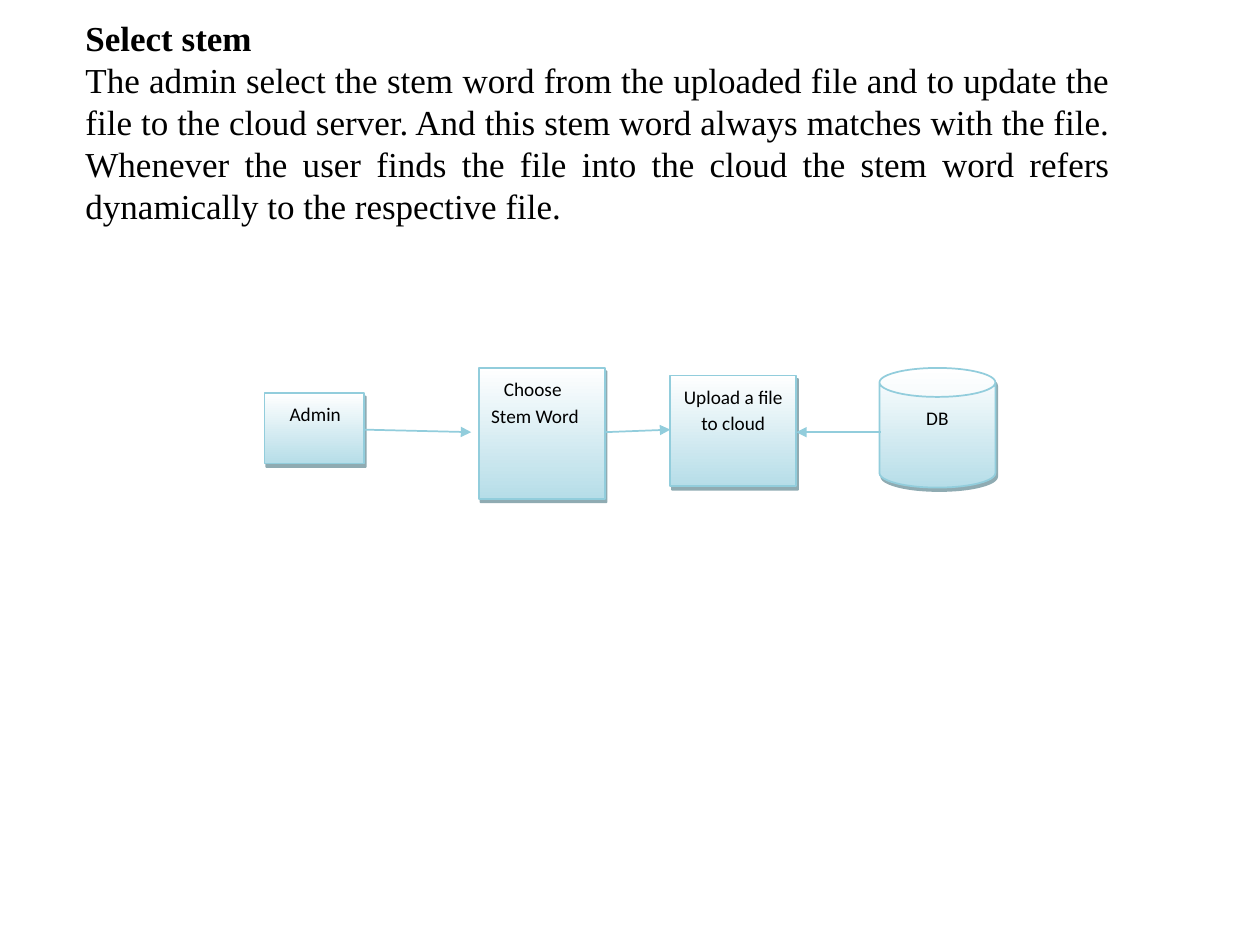
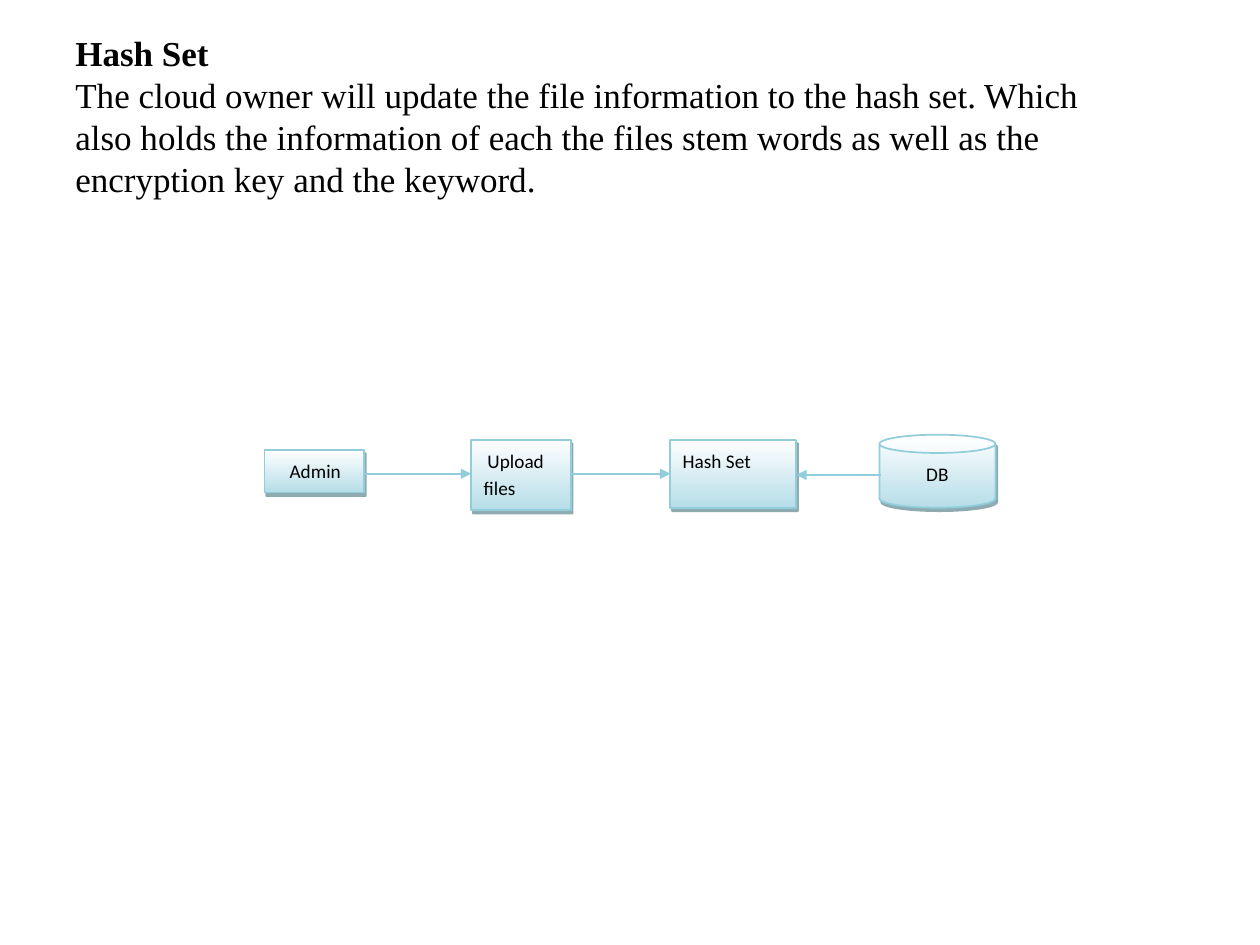
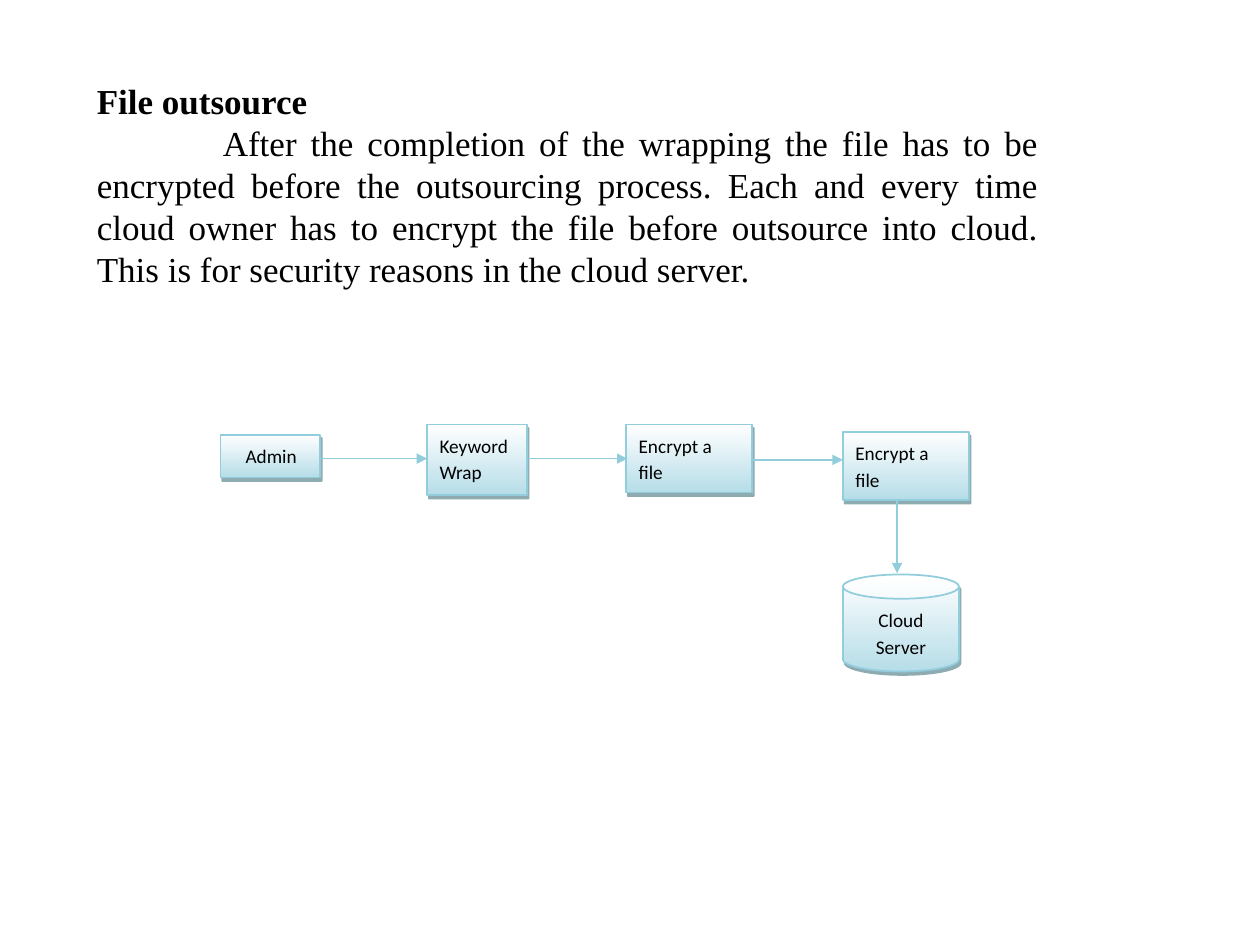
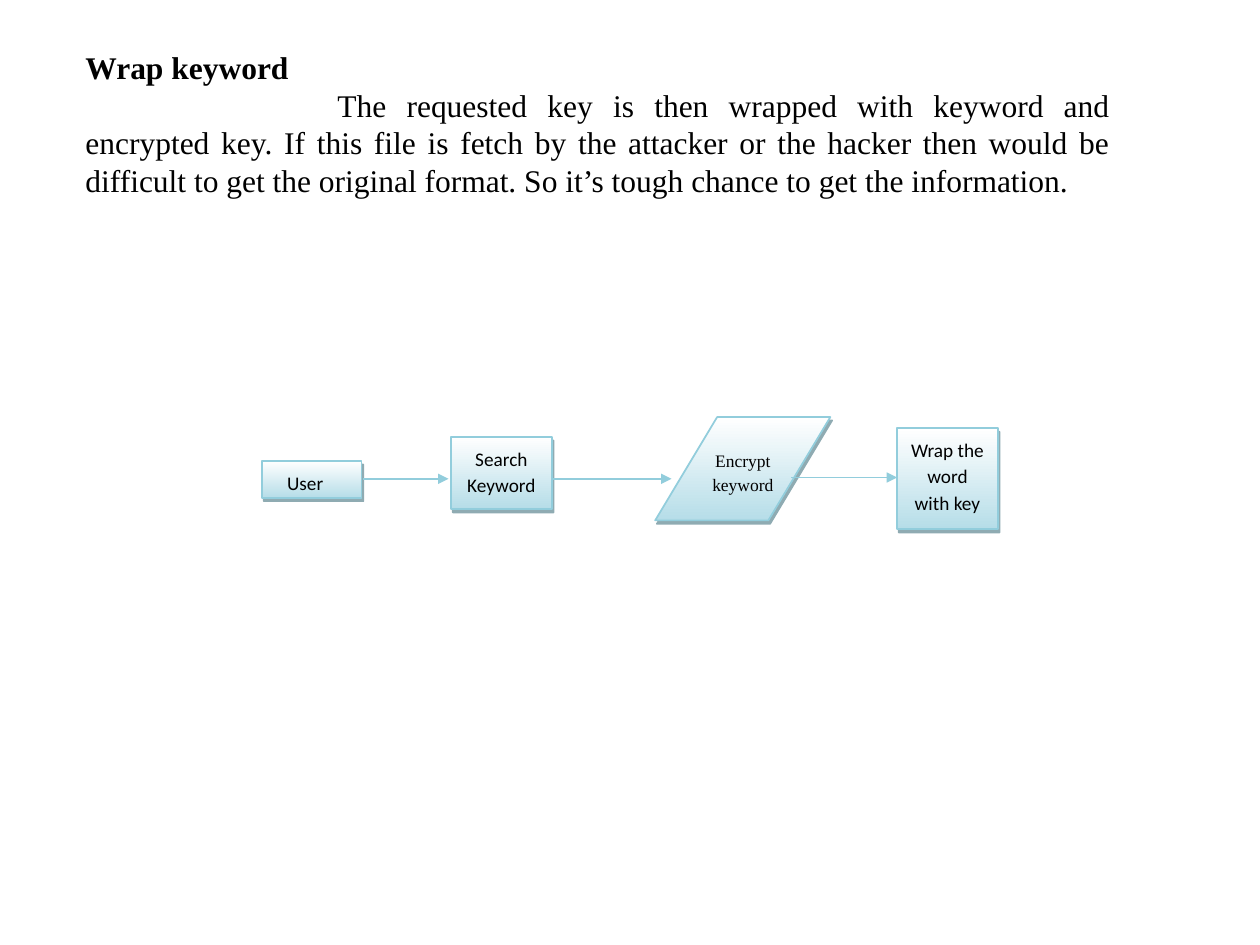
from dataclasses import dataclass
from lxml import etree
from pptx import Presentation
from pptx.dml.color import RGBColor
from pptx.enum.shapes import MSO_CONNECTOR, MSO_SHAPE
from pptx.enum.text import MSO_ANCHOR, PP_ALIGN
from pptx.oxml.ns import qn
from pptx.util import Inches, Pt

RECT, CAN, SLANT = MSO_SHAPE.RECTANGLE, MSO_SHAPE.CAN, MSO_SHAPE.PARALLELOGRAM
STRAIGHT = MSO_CONNECTOR.STRAIGHT
TOP = MSO_ANCHOR.TOP
LEFT, CENTER, JUSTIFY = PP_ALIGN.LEFT, PP_ALIGN.CENTER, PP_ALIGN.JUSTIFY


@dataclass
class Theme:
    ink: RGBColor = RGBColor.from_string("000000")
    pale: RGBColor = RGBColor.from_string("FFFFFF")
    tint: RGBColor = RGBColor.from_string("B6DDE8")
    edge: RGBColor = RGBColor.from_string("92CDDC")
    shadow: str = "205867"
    serif: str = "Times New Roman"
    sans: str = "Calibri"
    body: int = 20
    body_small: int = 18
    label: int = 11
    label_small: int = 10
    line: float = 1


T = Theme()


def style_paragraph(p, font, size, align, indent=0, bold=False):
    p.alignment = align
    if indent:
        p._p.get_or_add_pPr().set("indent", str(Inches(indent)))
    for r in p.runs:
        r.font.name = font
        r.font.size = Pt(size)
        r.font.bold = bold
        r.font.color.rgb = T.ink


SLIDES = [
    dict(
        title="Select stem",
        body="The admin select the stem word from the uploaded file and to update the "
             "file to the cloud server. And this stem word always matches with the file. "
             "Whenever the user finds the file into the cloud the stem word refers "
             "dynamically to the respective file.",
        at=(0.58, 0.05, 8.33, 2.46), inset=0.08, size=T.body, align=JUSTIFY, indent=0,
        nodes=[
            (RECT, 2.1, 3.12, 0.79, 0.56, "Admin", LEFT, 0.1),
            (RECT, 3.8, 2.92, 1, 1.04, "Choose Stem Word", LEFT, 0.1),
            (RECT, 5.32, 2.98, 1, 0.88, "Upload a file to cloud", CENTER, 0),
            (CAN, 6.98, 2.92, 0.92, 0.95, "DB", CENTER, 0),
        ],
        arrows=[(2.89, 3.41, 3.74, 3.43), (4.8, 3.43, 5.32, 3.41), (6.99, 3.43, 6.32, 3.43)],
    ),
    dict(
        title="Hash Set",
        body="The cloud owner will update the file information to the hash set. Which also "
             "holds the information of each the files stem words as well as the encryption "
             "key and the keyword.",
        at=(0.5, 0.17, 8.5, 3.13), inset=0.08, size=T.body, align=LEFT, indent=0,
        nodes=[
            (RECT, 2.1, 3.57, 0.79, 0.34, "Admin", LEFT, 0.1),
            (RECT, 3.74, 3.49, 0.79, 0.56, "Upload files", LEFT, 0.03),
            (RECT, 5.32, 3.49, 1, 0.54, "Hash Set", LEFT, 0),
            (CAN, 6.98, 3.45, 0.92, 0.58, "DB", CENTER, 0),
        ],
        arrows=[(2.89, 3.76, 3.74, 3.76), (4.53, 3.76, 5.32, 3.76), (6.99, 3.77, 6.32, 3.77)],
    ),
    dict(
        title="File outsource",
        body="After the completion of the wrapping the file has to be encrypted before the "
             "outsourcing process. Each and every time cloud owner has to encrypt the file "
             "before outsource into cloud. This is for security reasons in the cloud server.",
        at=(0.67, 0.58, 7.67, 2.12), inset=0.05, size=T.body, align=JUSTIFY, indent=1,
        nodes=[
            (RECT, 1.75, 3.45, 0.79, 0.34, "Admin", LEFT, 0.1),
            (RECT, 3.39, 3.37, 0.79, 0.56, "Keyword Wrap", LEFT, 0),
            (RECT, 4.97, 3.37, 1, 0.54, "Encrypt a file", LEFT, 0),
            (CAN, 6.69, 4.56, 0.92, 0.77, "Cloud Server", CENTER, 0),
            (RECT, 6.69, 3.43, 1, 0.54, "Encrypt a file", LEFT, 0),
        ],
        arrows=[(2.55, 3.64, 3.39, 3.64), (4.18, 3.64, 4.98, 3.64),
                (5.97, 3.65, 6.69, 3.65), (7.12, 3.97, 7.12, 4.55)],
    ),
    dict(
        title="Wrap keyword",
        body="The requested key is then wrapped with keyword and encrypted key. If this file "
             "is fetch by the attacker or the hacker then would be difficult to get the "
             "original format. So it’s tough chance to get the information.",
        at=(0.58, 0.33, 8.33, 1.31), inset=0.05, size=T.body_small, align=JUSTIFY, indent=2,
        nodes=[
            (RECT, 2.08, 3.66, 0.79, 0.29, "User", LEFT, 0.1),
            (RECT, 3.58, 3.47, 0.8, 0.57, "Search Keyword", CENTER, 0),
            (SLANT, 5.2, 3.31, 1.39, 0.82, "Encrypt keyword", CENTER, 0),
            (RECT, 7.12, 3.4, 0.8, 0.8, "Wrap the word with key", CENTER, 0),
        ],
        arrows=[(2.88, 3.8, 3.56, 3.8), (4.38, 3.8, 5.33, 3.8), (6.28, 3.79, 7.12, 3.79)],
    ),
]

prs = Presentation()
prs.slide_width, prs.slide_height = Inches(10), Inches(7.5)

for page in SLIDES:
    s = prs.slides.add_slide(prs.slide_layouts[6])

    tf = s.shapes.add_textbox(*map(Inches, page["at"])).text_frame
    tf.word_wrap = True
    tf.vertical_anchor = TOP
    tf.margin_top = Inches(page["inset"])
    tf.text = page["title"]
    style_paragraph(tf.paragraphs[0], T.serif, page["size"], page["align"], bold=True)
    p = tf.add_paragraph()
    p.text = page["body"]
    style_paragraph(p, T.serif, page["size"], page["align"], page["indent"])

    for kind, x, y, w, h, label, align, indent in page["nodes"]:
        sp = s.shapes.add_shape(kind, *map(Inches, (x, y, w, h)))
        if kind == SLANT:
            sp.adjustments[0] = 0.6
        sp.fill.gradient()
        sp.fill.gradient_angle = 270
        for stop, color, position in zip(sp.fill.gradient_stops, (T.pale, T.tint), (0, 1)):
            stop.color.rgb = color
            stop.position = position
        sp.line.color.rgb = T.edge
        sp.line.width = Pt(T.line)
        sp.shadow.inherit = False
        effects = sp._element.spPr.find(qn("a:effectLst"))
        shadow = etree.SubElement(effects, qn("a:outerShdw"), blurRad="0",
                                  dist=str(Pt(2.2)), dir=str(63 * 60000),
                                  algn="ctr", rotWithShape="0")
        color = etree.SubElement(shadow, qn("a:srgbClr"), val=T.shadow)
        etree.SubElement(color, qn("a:alpha"), val="50000")

        tf = sp.text_frame
        tf.word_wrap = True
        tf.vertical_anchor = TOP
        tf.text = label
        p = tf.paragraphs[0]
        p.line_spacing = 1.15
        font, size = (T.serif, T.label_small) if kind == SLANT else (T.sans, T.label)
        style_paragraph(p, font, size, align, indent)

    for ends in page["arrows"]:
        arrow = s.shapes.add_connector(STRAIGHT, *map(Inches, ends))
        arrow.line.color.rgb = T.edge
        arrow.line.width = Pt(T.line)
        etree.SubElement(arrow.line._get_or_add_ln(), qn("a:tailEnd"), type="triangle")
        etree.SubElement(arrow._element.spPr, qn("a:effectLst"))

prs.save("out.pptx")
